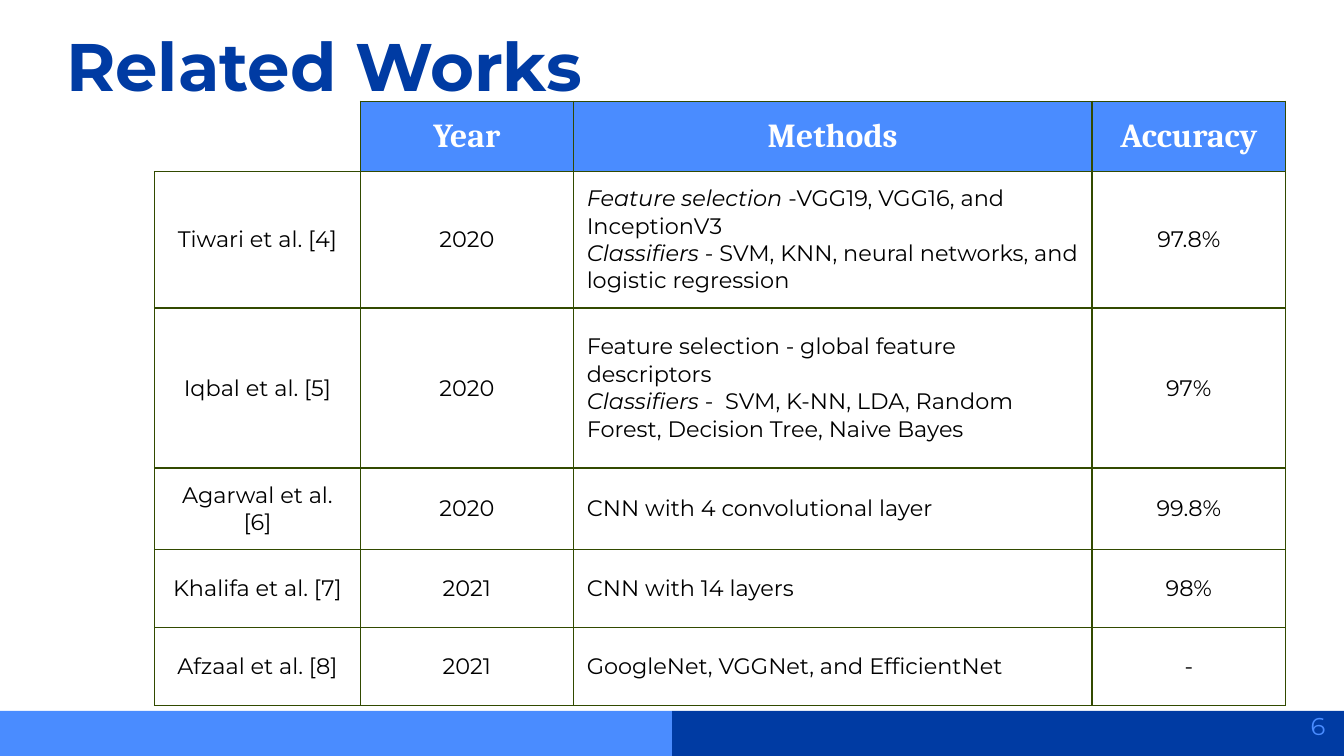
"""Build the Related Works slide: a table of studies above a two-tone footer."""
import dataclasses
import typing

import lxml.etree
import pptx
import pptx.dml.color
import pptx.enum.shapes
import pptx.enum.text
import pptx.oxml.ns
import pptx.util

WIDTH = pptx.util.Inches(10)
HEIGHT = WIDTH * 9 // 16
INSET = pptx.util.Inches(0.1)
NAVY, BLUE, OLIVE, WHITE, BLACK = "003BA3", "4A8CFF", "324A00", "FFFFFF", "000000"
BODY_FONT, HEADER_FONT = "Montserrat", "Cambria"
LEFT = pptx.enum.text.PP_ALIGN.LEFT
CENTER = pptx.enum.text.PP_ALIGN.CENTER
RIGHT = pptx.enum.text.PP_ALIGN.RIGHT
HEADINGS = ("", "Year", "Methods", "Accuracy")
COLUMN_SHARES = (15.32, 15.84, 38.6, 14.4)
ROW_SHARES = (9.3, 17.62, 21.17, 10.32, 10.32, 10.32)


@dataclasses.dataclass(frozen=True)
class Area:
    """A rectangle in percent of the slide's width and height."""
    left: float
    top: float
    width: float
    height: float

    def box(self) -> tuple[int, int, int, int]:
        """Return the rectangle in slide units."""
        return across(self.left), down(self.top), across(self.width), down(self.height)


@dataclasses.dataclass(frozen=True)
class Style:
    """The look of a paragraph."""
    font: str
    size: float
    color: str
    bold: bool = False
    align: pptx.enum.text.PP_ALIGN = LEFT


class Method(typing.NamedTuple):
    """A line about methods, with an optional italic lead."""
    lead: str
    detail: str


class Study(typing.NamedTuple):
    """One related work."""
    authors: str
    year: str
    methods: tuple[Method, ...]
    accuracy: str


STUDIES = (
    Study("Tiwari et al. [4]", "2020", (
        Method("Feature selection", " -VGG19, VGG16, and InceptionV3"),
        Method("Classifiers", " - SVM, KNN, neural networks, and logistic regression"),
    ), "97.8%"),
    Study("Iqbal et al. [5]", "2020", (
        Method("", "Feature selection - global feature descriptors"),
        Method("Classifiers ", "-  SVM, K-NN, LDA, Random Forest, Decision Tree, Naive Bayes"),
    ), "97%"),
    Study("Agarwal et al. [6]", "2020", (Method("", "CNN with 4 convolutional layer"),), "99.8%"),
    Study("Khalifa et al. [7]", "2021", (Method("", "CNN with 14 layers"),), "98%"),
    Study("Afzaal et al. [8]", "2021", (Method("", "GoogleNet, VGGNet, and EfficientNet"),), "-"),
)
HEADING = Style(HEADER_FONT, 18, WHITE, True, CENTER)
ENTRY = Style(BODY_FONT, 12, BLACK, align=CENTER)
METHOD = Style(BODY_FONT, 12, BLACK)


def across(share: float) -> int:
    """Turn a percentage of the slide's width into a length."""
    return round(WIDTH * share / 100)


def down(share: float) -> int:
    """Turn a percentage of the slide's height into a length."""
    return round(HEIGHT * share / 100)


def rgb(color: str) -> pptx.dml.color.RGBColor:
    """Turn a hex string into a colour."""
    return pptx.dml.color.RGBColor.from_string(color)


def write(frame, lines: tuple[Method, ...], style: Style) -> None:
    """Fill a text frame with styled lines."""
    for index, line in enumerate(lines):
        paragraph = frame.add_paragraph() if index else frame.paragraphs[0]
        paragraph.alignment = style.align
        paragraph.font.name = style.font
        paragraph.font.size = pptx.util.Pt(style.size)
        paragraph.font.bold = style.bold
        paragraph.font.color.rgb = rgb(style.color)
        if line.lead:
            lead = paragraph.add_run()
            lead.text = line.lead
            lead.font.italic = True
        if line.detail:
            paragraph.add_run().text = line.detail


def add_bar(slide, area: Area, color: str) -> None:
    """Draw a plain footer bar."""
    bar = slide.shapes.add_shape(pptx.enum.shapes.MSO_SHAPE.RECTANGLE, *area.box())
    bar.shadow.inherit = False
    bar.fill.solid()
    bar.fill.fore_color.rgb = rgb(color)
    bar.line.fill.background()


def add_label(slide, area: Area, text: str, style: Style) -> None:
    """Place a text box with even insets."""
    frame = slide.shapes.add_textbox(*area.box()).text_frame
    frame.word_wrap = True
    frame.margin_left = frame.margin_right = INSET
    frame.margin_top = frame.margin_bottom = INSET
    write(frame, (Method("", text),), style)


def set_borders(cell, hidden: str = "") -> None:
    """Outline a cell, leaving out the sides named in hidden."""
    properties = cell._tc.get_or_add_tcPr()
    for index, side in enumerate("LRTB"):
        edge = lxml.etree.Element(pptx.oxml.ns.qn(f"a:ln{side}"), w=str(pptx.util.Pt(0.75)))
        if side in hidden:
            lxml.etree.SubElement(edge, pptx.oxml.ns.qn("a:noFill"))
        else:
            paint = lxml.etree.SubElement(edge, pptx.oxml.ns.qn("a:solidFill"))
            lxml.etree.SubElement(paint, pptx.oxml.ns.qn("a:srgbClr"), val=OLIVE)
        properties.insert(index, edge)


def fill_cell(cell, lines: tuple[Method, ...], style: Style, color: str = "", hidden: str = "") -> None:
    """Write and paint one table cell."""
    cell.margin_left = cell.margin_right = INSET
    cell.margin_top = cell.margin_bottom = INSET
    cell.vertical_anchor = pptx.enum.text.MSO_ANCHOR.MIDDLE
    if color:
        cell.fill.solid()
        cell.fill.fore_color.rgb = rgb(color)
    else:
        cell.fill.background()
    set_borders(cell, hidden)
    write(cell.text_frame, lines, style)


def add_studies(slide, left: float, top: float) -> None:
    """Draw the table of related works."""
    area = Area(left, top, sum(COLUMN_SHARES), sum(ROW_SHARES))
    table = slide.shapes.add_table(len(ROW_SHARES), len(COLUMN_SHARES), *area.box()).table
    table.first_row = table.horz_banding = False
    for column, share in zip(table.columns, COLUMN_SHARES):
        column.width = across(share)
    for row, share in zip(table.rows, ROW_SHARES):
        row.height = down(share)
    for index, heading in enumerate(HEADINGS):
        fill_cell(table.cell(0, index), (Method("", heading),), HEADING,
                  BLUE if heading else "", "" if heading else "LT")
    for row, study in enumerate(STUDIES, start=1):
        for column, value in enumerate(study):
            is_methods = value is study.methods
            lines = value if is_methods else (Method("", value),)
            fill_cell(table.cell(row, column), lines, METHOD if is_methods else ENTRY)


def main() -> None:
    """Build and save the slide."""
    deck = pptx.Presentation()
    deck.slide_width, deck.slide_height = WIDTH, HEIGHT
    slide = deck.slides.add_slide(deck.slide_layouts[6])
    add_bar(slide, Area(50, 94.04, 50, 5.96), NAVY)
    add_bar(slide, Area(0, 94.04, 50, 5.96), BLUE)
    add_studies(slide, 11.5, 13.4)
    add_label(slide, Area(3.94, 1.42, 66.2, 14.4), "Related Works", Style(BODY_FONT, 36, NAVY, True))
    add_label(slide, Area(93.6, 92.3, 6, 7.65), "6", Style(BODY_FONT, 13, BLUE, align=RIGHT))
    deck.save("out.pptx")


if __name__ == "__main__":
    main()
